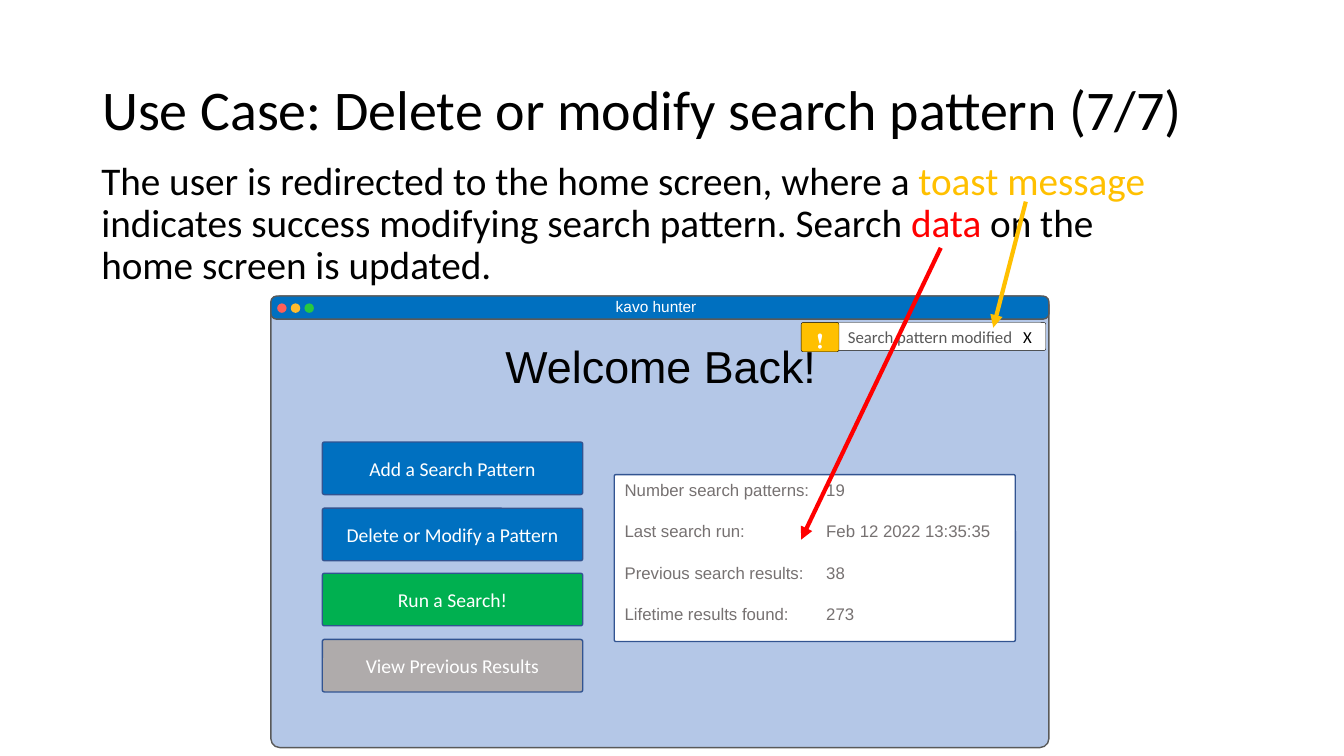
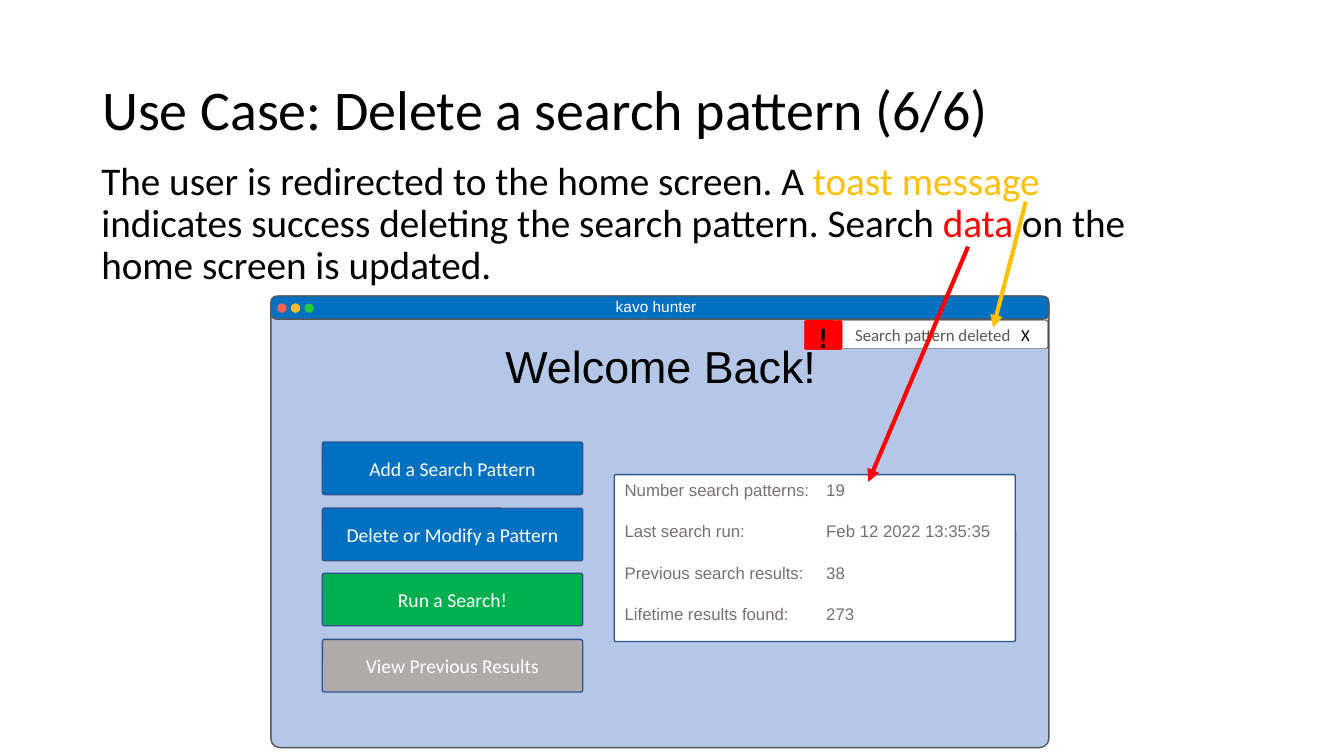
"""Build two use-case slides showing the home screen of a search tool."""
from dataclasses import dataclass
from typing import Any, NamedTuple, Optional, Union

import lxml.etree
import pptx
import pptx.dml.color
import pptx.enum.shapes
import pptx.enum.text
import pptx.oxml.ns
import pptx.shapes.autoshape
import pptx.shapes.shapetree
import pptx.slide
import pptx.util

EMU_PER_PX = 9525
SHAPE = pptx.enum.shapes.MSO_SHAPE
ALIGN = pptx.enum.text.PP_ALIGN
ANCHOR = pptx.enum.text.MSO_ANCHOR
Shapes = Union[pptx.shapes.shapetree.SlideShapes, pptx.shapes.shapetree.GroupShapes]
Shape = pptx.shapes.autoshape.Shape


@dataclass(frozen=True)
class Theme:
    """Colours, fonts and type sizes shared by the slides."""

    black: str = "000000"
    white: str = "FFFFFF"
    blue: str = "0070C0"
    pale_blue: str = "B4C7E7"
    edge_blue: str = "325491"
    green: str = "00B050"
    silver: str = "AFABAB"
    dark_grey: str = "595959"
    mid_grey: str = "767171"
    amber: str = "FFC000"
    red: str = "FF0000"
    window_dots: tuple[str, ...] = ("FF5F57", "FFBC2E", "28C840")
    slide_font: str = "Calibri"
    window_font: str = "Arial"
    title_size: int = 40
    body_size: int = 28
    welcome_size: int = 32
    alert_size: int = 20
    button_size: int = 14
    small_size: int = 12
    window_name_size: int = 11


THEME = Theme()


class Box(NamedTuple):
    """Left, top, width and height in px."""

    left: int
    top: int
    width: int
    height: int


class Run(NamedTuple):
    """A piece of text in one colour."""

    text: str
    colour: str


@dataclass(frozen=True)
class TextStyle:
    """Font and paragraph settings of a text."""

    size: int
    name: str = THEME.slide_font
    bold: bool = False
    align: Any = ALIGN.LEFT
    line_spacing: Optional[float] = None
    gap: int = 0
    tab: int = 0


@dataclass(frozen=True)
class Outline:
    """Preset shape with its fill, line and corner radius."""

    fill: str
    line: Optional[str] = None
    line_width: float = 1
    corner: Optional[float] = None


class Arrow(NamedTuple):
    """Arrow from one point to another in px."""

    start: tuple[int, int]
    end: tuple[int, int]
    colour: str


@dataclass(frozen=True)
class Toast:
    """Message that pops up in the window."""

    box: Box
    icon_box: Box
    message: str
    inset: int
    close_tab: int
    icon: Run
    icon_style: TextStyle
    icon_outline: Outline


@dataclass(frozen=True)
class UseCase:
    """Content of one slide."""

    title: str
    body: tuple[Run, ...]
    toast: Toast
    arrows: tuple[Arrow, ...]


BUTTONS = (
    ("Add a Search Pattern", THEME.blue),
    ("Delete or Modify a Pattern", THEME.blue),
    ("Run a Search!", THEME.green),
    ("View Previous Results", THEME.silver),
)
STATISTICS = (
    ("Number search patterns:", "19"),
    ("Last search run:", "Feb 12 2022 13:35:35"),
    ("Previous search results:", "38"),
    ("Lifetime results found:", "273"),
)
WINDOW = Box(258, 282, 741, 430)
SMALL_CENTRED = TextStyle(THEME.small_size, align=ALIGN.CENTER)
TOAST_ARROW = Arrow((977, 192), (946, 312), THEME.amber)


def body_runs(opening: str, outcome: str) -> tuple[Run, ...]:
    """Return the description with its coloured keywords."""
    return (
        Run(f"The user is redirected to the home screen{opening} ", THEME.black),
        Run("toast message ", THEME.amber),
        Run(f"indicates success {outcome} search pattern. Search ", THEME.black),
        Run("data", THEME.red),
        Run(" on the home screen is updated.", THEME.black),
    )


USE_CASES = (
    UseCase(
        "Use Case: Delete or modify search pattern (7/7)",
        body_runs(", where a", "modifying"),
        Toast(Box(796, 307, 200, 27), Box(763, 307, 36, 28), "Search pattern modified", 11, 167,
              Run("❗️", THEME.white), SMALL_CENTRED,
              Outline(THEME.amber, THEME.black, 0.25, 0.07)),
        (TOAST_ARROW, Arrow((896, 236), (763, 514), THEME.red)),
    ),
    UseCase(
        "Use Case: Delete a search pattern (6/6)",
        body_runs(". A", "deleting the"),
        Toast(Box(798, 305, 200, 27), Box(766, 305, 36, 28), "Search pattern deleted", 16, 158,
              Run("!", THEME.black), TextStyle(THEME.alert_size, bold=True, align=ALIGN.CENTER),
              Outline(THEME.red, THEME.red, 0.25, 0.07)),
        (Arrow((922, 235), (827, 459), THEME.red), TOAST_ARROW),
    ),
)


def px(length: int) -> pptx.util.Emu:
    """Turn px into EMU."""
    return pptx.util.Emu(length * EMU_PER_PX)


def rgb(colour: str) -> pptx.dml.color.RGBColor:
    """Turn a hex string into a colour."""
    return pptx.dml.color.RGBColor.from_string(colour)


def apply_format(target: Any, values: dict[str, Any]) -> None:
    """Set each named attribute on the target."""
    for name, value in values.items():
        setattr(target, name, value)


def add_child(parent: Any, tag: str, **attributes: str) -> Any:
    """Append a drawing element to its parent."""
    return lxml.etree.SubElement(parent, pptx.oxml.ns.qn(tag), attributes)


def write(shape: Shape, paragraphs: list[tuple[Run, ...]], style: TextStyle,
          **frame_format: Any) -> None:
    """Fill a shape with styled paragraphs."""
    frame = shape.text_frame
    apply_format(frame, {"word_wrap": True, "vertical_anchor": ANCHOR.TOP, **frame_format})
    for index, runs in enumerate(paragraphs):
        paragraph = frame.add_paragraph() if index else frame.paragraphs[0]
        apply_format(paragraph, {"alignment": style.align, "line_spacing": style.line_spacing})
        if index and style.gap:
            paragraph.space_before = pptx.util.Pt(style.gap)
        if style.tab:
            tabs = add_child(paragraph._p.get_or_add_pPr(), "a:tabLst")
            add_child(tabs, "a:tab", pos=str(px(style.tab)), algn="l")
        for text, colour in runs:
            run = paragraph.add_run()
            run.text = text
            apply_format(run.font, {"name": style.name, "size": pptx.util.Pt(style.size),
                                    "bold": style.bold})
            run.font.color.rgb = rgb(colour)


def add_text(shapes: Shapes, box: Box, runs: tuple[Run, ...], style: TextStyle,
             **frame_format: Any) -> None:
    """Add a text box of one paragraph."""
    write(shapes.add_textbox(*map(px, box)), [runs], style, **frame_format)


def add_outline(shapes: Shapes, box: Box, outline: Outline,
                preset: Any = SHAPE.ROUNDED_RECTANGLE) -> Shape:
    """Add a preset shape with its fill and line."""
    shape = shapes.add_shape(preset, *map(px, box))
    shape.shadow.inherit = False
    shape.fill.solid()
    shape.fill.fore_color.rgb = rgb(outline.fill)
    if outline.line:
        shape.line.color.rgb = rgb(outline.line)
        shape.line.width = pptx.util.Pt(outline.line_width)
    else:
        shape.line.fill.background()
    if outline.corner is not None:
        shape.adjustments[0] = outline.corner
    return shape


def add_window(shapes: Shapes) -> None:
    """Draw the home screen window."""
    add_outline(shapes, WINDOW, Outline(THEME.pale_blue, THEME.dark_grey, corner=0.02))
    add_outline(shapes, WINDOW._replace(height=22),
                Outline(THEME.blue, THEME.dark_grey, corner=0.25))
    for index, colour in enumerate(THEME.window_dots):
        add_outline(shapes, Box(264 + 13 * index, 289, 9, 9), Outline(colour), SHAPE.OVAL)
    for box, text, size, colour in (
        (Box(577, 278, 98, 28), "kavo hunter", THEME.window_name_size, THEME.white),
        (Box(472, 318, 318, 61), "Welcome Back!", THEME.welcome_size, THEME.black),
    ):
        add_text(shapes, box, (Run(text, colour),), TextStyle(size, THEME.window_font),
                 word_wrap=False, auto_size=pptx.enum.text.MSO_AUTO_SIZE.SHAPE_TO_FIT_TEXT)
    for index, (label, colour) in enumerate(BUTTONS):
        button = add_outline(shapes, Box(307, 421 + 63 * index - index // 2, 248, 50),
                             Outline(colour, THEME.edge_blue, corner=0.04))
        write(button, [(Run(label, THEME.white),)],
              TextStyle(THEME.button_size, align=ALIGN.CENTER), vertical_anchor=ANCHOR.MIDDLE)
    panel = add_outline(shapes, Box(585, 452, 382, 159),
                        Outline(THEME.white, THEME.edge_blue, corner=0.01))
    write(panel, [(Run(f"{label}\t{value}", THEME.mid_grey),) for label, value in STATISTICS],
          TextStyle(THEME.small_size, THEME.window_font, gap=15, tab=192))


def add_toast(shapes: Shapes, toast: Toast) -> None:
    """Draw a toast message and its icon."""
    message = add_outline(shapes, toast.box, Outline(THEME.white, THEME.black, 0.25, 0.07))
    write(message, [(Run(f"{toast.message}\t", THEME.dark_grey), Run("X", THEME.black))],
          TextStyle(THEME.small_size, tab=toast.close_tab), vertical_anchor=ANCHOR.MIDDLE,
          margin_left=px(toast.inset), margin_right=px(2))
    icon = add_outline(shapes, toast.icon_box, toast.icon_outline)
    write(icon, [(toast.icon,)], toast.icon_style, vertical_anchor=ANCHOR.MIDDLE,
          margin_top=px(10))


def add_arrow(shapes: Shapes, arrow: Arrow) -> None:
    """Draw a straight arrow with a triangle head."""
    connector = shapes.add_connector(pptx.enum.shapes.MSO_CONNECTOR.STRAIGHT,
                                     *map(px, arrow.start + arrow.end))
    connector.line.color.rgb = rgb(arrow.colour)
    connector.line.width = pptx.util.Pt(3)
    properties = connector.element.spPr
    add_child(properties.find(pptx.oxml.ns.qn("a:ln")), "a:tailEnd", type="triangle")
    add_child(properties, "a:effectLst")


def add_use_case(slide: pptx.slide.Slide, use_case: UseCase) -> None:
    """Draw one use-case slide."""
    add_window(slide.shapes.add_group_shape().shapes)
    add_text(slide.shapes, Box(88, 38, 1104, 139), (Run(use_case.title, THEME.black),),
             TextStyle(THEME.title_size, line_spacing=0.9), vertical_anchor=ANCHOR.MIDDLE)
    add_text(slide.shapes, Box(87, 149, 1024, 494), use_case.body,
             TextStyle(THEME.body_size, line_spacing=0.9))
    add_toast(slide.shapes.add_group_shape().shapes, use_case.toast)
    for arrow in use_case.arrows:
        add_arrow(slide.shapes, arrow)


def main() -> None:
    """Build and save the presentation."""
    presentation = pptx.Presentation()
    apply_format(presentation, {"slide_width": px(1280), "slide_height": px(720)})
    for use_case in USE_CASES:
        add_use_case(presentation.slides.add_slide(presentation.slide_layouts[6]), use_case)
    presentation.save("out.pptx")


if __name__ == "__main__":
    main()
